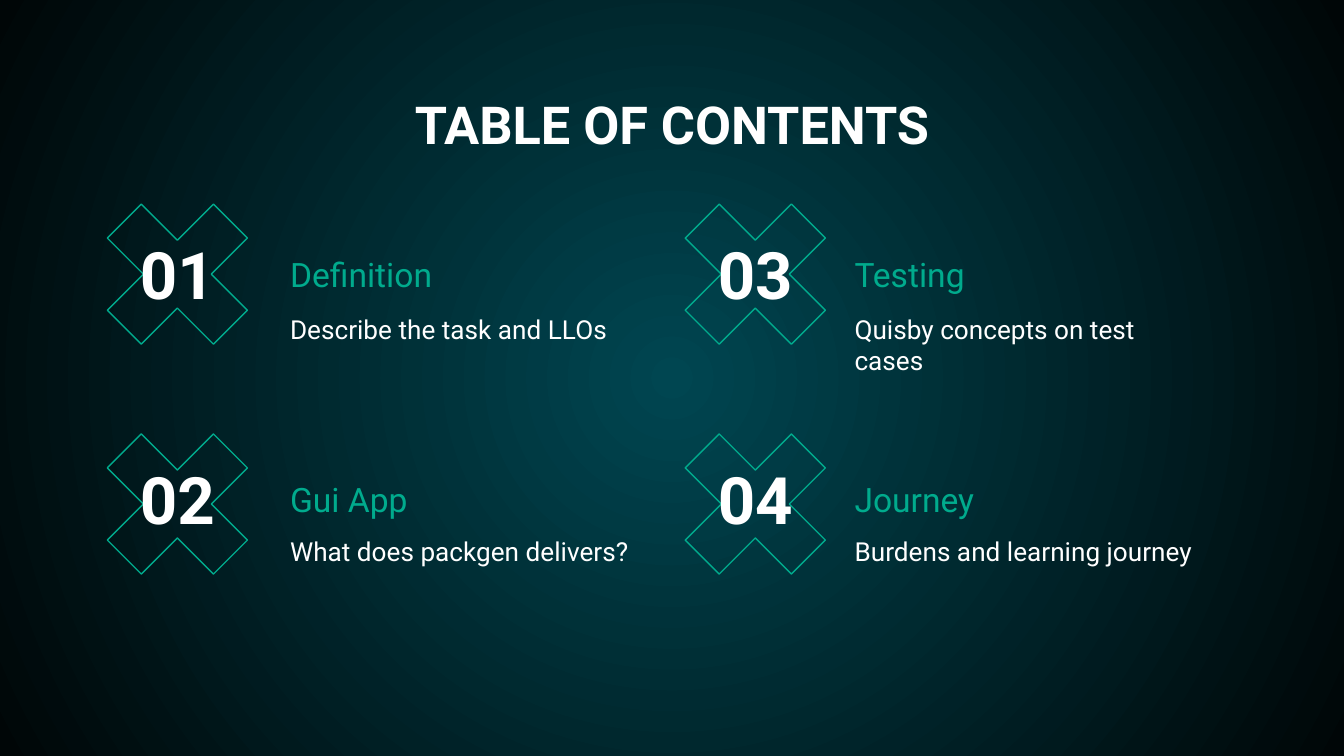
from dataclasses import dataclass

from lxml.etree import fromstring
from pptx import Presentation
from pptx.dml.color import RGBColor as Color
from pptx.enum.shapes import MSO_SHAPE as Shape
from pptx.enum.text import MSO_ANCHOR as Anchor, PP_ALIGN as Align
from pptx.oxml.ns import qn
from pptx.util import Inches, Pt


@dataclass(frozen=True)
class Theme:
    """Colours, font and type sizes of the slide."""
    font: str = "Roboto"
    accent: str = "00AB8D"
    text: str = "FFFFFF"
    glow: str = "004651"
    edge: str = "000607"
    title_size: int = 28
    number_size: int = 35
    heading_size: int = 18
    body_size: int = 14


@dataclass(frozen=True)
class Grid:
    """First cell and steps of one kind of element, in inches."""
    left: float
    top: float
    width: float
    height: float
    column_step: float = 0
    row_step: float = 0

    def box(self, column=0, row=0):
        """Return left, top, width and height of a cell."""
        left = self.left + column * self.column_step
        top = self.top + row * self.row_step
        return [Inches(length) for length in (left, top, self.width, self.height)]


THEME = Theme()
WIDTH = Inches(10)
HEIGHT = WIDTH * 9 // 16
TITLE = Grid(0.78, 0.59, 8.44, 0.63)
CROSS = Grid(0.56, 1.28, 1.52, 1.52, 4.3, 1.71)
NUMBER = Grid(0.85, 1.79, 0.94, 0.49, 4.3, 1.67)
HEADING = Grid(2.06, 1.88, 2.82, 0.41, 4.2, 1.67)
BODY = Grid(2.06, 2.23, 2.82, 0.58, 4.2, 1.65)
CHAPTERS = [
    ("Definition", "Describe the task and LLOs"),
    ("Gui App", "What does packgen delivers?"),
    ("Testing", "Quisby concepts on test cases"),
    ("Journey", "Burdens and learning journey"),
]
ROWS = 2
RADIAL = (
    '<a:path xmlns:a="http://schemas.openxmlformats.org/drawingml/2006/main" path="circle">'
    '<a:fillToRect l="50000" t="50000" r="50000" b="50000"/></a:path>'
)


def paint_background(slide):
    """Fill the background with a glow from the centre."""
    fill = slide.background.fill
    fill.gradient()
    for stop, position, color in zip(fill.gradient_stops, (0, 1), (THEME.glow, THEME.edge)):
        stop.position = position
        stop.color.rgb = Color.from_string(color)
    linear = next(slide.element.iter(qn("a:lin")))
    linear.getparent().replace(linear, fromstring(RADIAL))


def add_cross(slide, box):
    """Draw an outlined cross."""
    cross = slide.shapes.add_shape(Shape.MATH_MULTIPLY, *box)
    cross.adjustments[0] = 0.235
    cross.shadow.inherit = False
    cross.fill.background()
    cross.line.color.rgb = Color.from_string(THEME.accent)
    cross.line.width = Pt(0.75)


def add_text(slide, box, text, size, color=THEME.text, bold=False,
             align=Align.LEFT, anchor=Anchor.TOP):
    """Place one paragraph of text."""
    frame = slide.shapes.add_textbox(*box).text_frame
    frame.word_wrap = True
    frame.vertical_anchor = anchor
    frame.margin_left = frame.margin_right = Inches(0.1)
    frame.margin_top = frame.margin_bottom = Inches(0.1)
    paragraph = frame.paragraphs[0]
    paragraph.text = text
    paragraph.alignment = align
    font = paragraph.font
    font.name, font.size, font.bold = THEME.font, Pt(size), bold
    font.color.rgb = Color.from_string(color)


def add_chapter(slide, index, heading, body):
    """Place a numbered cross with its heading and description."""
    cell = divmod(index, ROWS)
    add_cross(slide, CROSS.box(*cell))
    add_text(slide, NUMBER.box(*cell), f"{index + 1:02}", THEME.number_size,
             bold=True, align=Align.CENTER, anchor=Anchor.MIDDLE)
    add_text(slide, HEADING.box(*cell), heading, THEME.heading_size,
             THEME.accent, anchor=Anchor.BOTTOM)
    add_text(slide, BODY.box(*cell), body, THEME.body_size)


def main():
    """Build and save the contents slide."""
    presentation = Presentation()
    presentation.slide_width, presentation.slide_height = WIDTH, HEIGHT
    slide = presentation.slides.add_slide(presentation.slide_layouts[6])
    paint_background(slide)
    add_text(slide, TITLE.box(), "TABLE OF CONTENTS", THEME.title_size,
             bold=True, align=Align.CENTER)
    for index, (heading, body) in enumerate(CHAPTERS):
        add_chapter(slide, index, heading, body)
    presentation.save("out.pptx")


if __name__ == "__main__":
    main()
